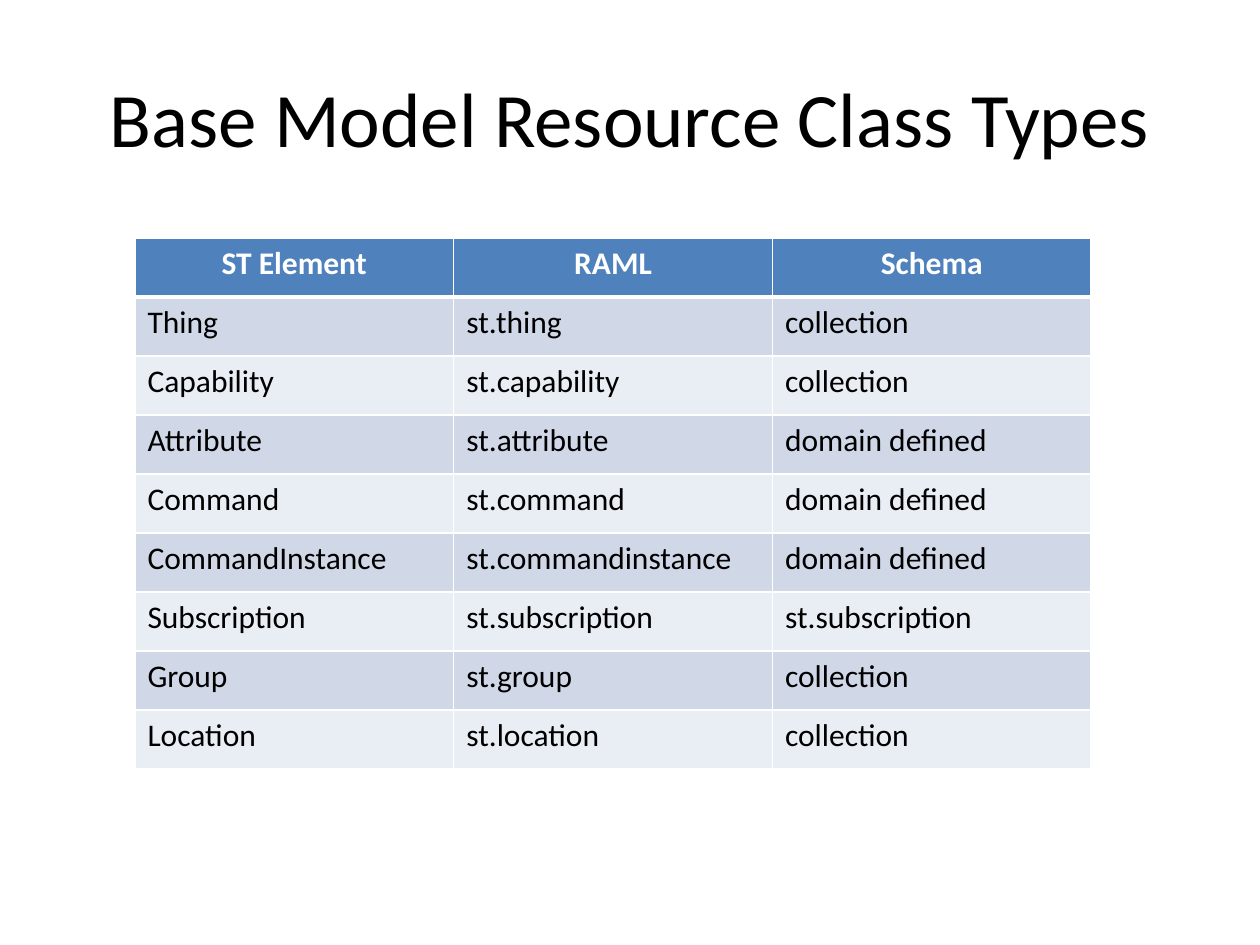
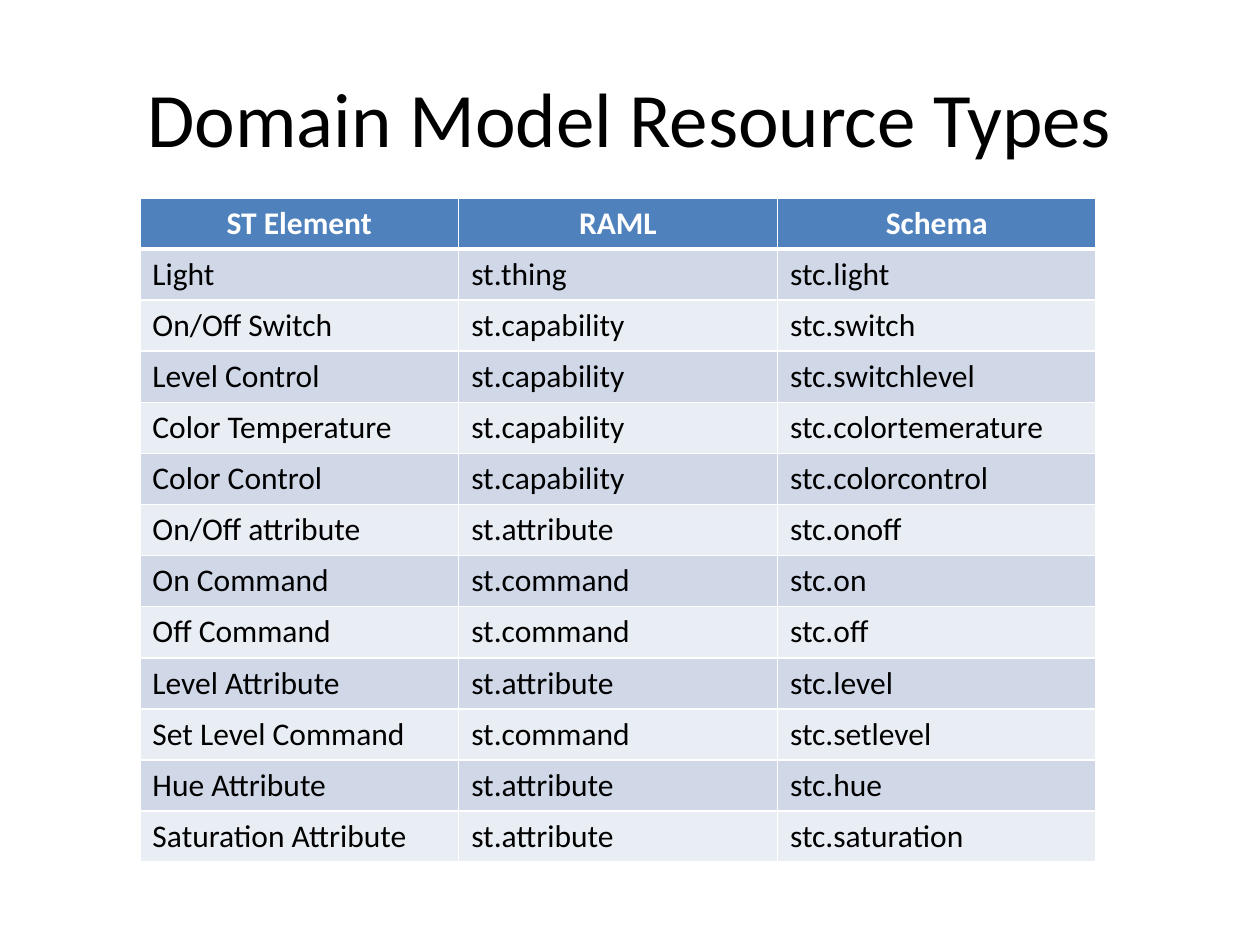
import dataclasses

import lxml.etree
import pptx
import pptx.dml.color
import pptx.enum.text
import pptx.oxml.ns
import pptx.util

Cm = pptx.util.Cm
Pt = pptx.util.Pt
Align = pptx.enum.text.PP_ALIGN
Anchor = pptx.enum.text.MSO_ANCHOR


@dataclasses.dataclass(frozen=True)
class Theme:
    font: str = "Calibri"
    title_size: int = 44
    table_size: int = 18
    text: str = "000000"
    header_text: str = "FFFFFF"
    header_fill: str = "4F81BD"
    bands: tuple = ("D0D8E8", "E9EDF4")
    border: str = "FFFFFF"
    thin_border: int = 1
    header_border: int = 3


class SlideBuilder:
    """Holds the style and the slide being built."""

    def __init__(self, deck, theme):
        self.deck = deck
        self.theme = theme
        self.slide = None

    def add_slide(self, title):
        title_only = self.deck.slide_layouts[5]
        self.slide = self.deck.slides.add_slide(title_only)
        box = self.slide.shapes.title
        box.left, box.top = Cm(1.27), Cm(0.76)
        box.width, box.height = Cm(22.86), Cm(3.18)
        box.text_frame.text = title
        box.text_frame.vertical_anchor = Anchor.MIDDLE
        self.format_text(box.text_frame, self.theme.title_size,
                         self.theme.text, False, Align.CENTER)

    def format_text(self, frame, size, color, bold, align):
        for para in frame.paragraphs:
            para.alignment = align
            for span in para.runs:
                span.font.name = self.theme.font
                span.font.size = Pt(size)
                span.font.bold = bold
                span.font.color.rgb = pptx.dml.color.RGBColor.from_string(color)

    def add_borders(self, cell, top, bottom):
        thin = self.theme.thin_border
        properties = cell._tc.get_or_add_tcPr()
        qn = pptx.oxml.ns.qn
        for side, width in (("L", thin), ("R", thin), ("T", top), ("B", bottom)):
            line = lxml.etree.SubElement(properties, qn("a:ln" + side),
                                         w=str(Pt(width)))
            fill = lxml.etree.SubElement(line, qn("a:solidFill"))
            lxml.etree.SubElement(fill, qn("a:srgbClr"), val=self.theme.border)

    def format_cell(self, cell, row):
        theme = self.theme
        thin, thick = theme.thin_border, theme.header_border
        is_header = row == 0
        # Borders come before the fill in the cell properties
        self.add_borders(cell, thick if row == 1 else thin,
                         thick if is_header else thin)
        fill = theme.header_fill if is_header else theme.bands[(row - 1) % 2]
        cell.fill.solid()
        cell.fill.fore_color.rgb = pptx.dml.color.RGBColor.from_string(fill)
        self.format_text(cell.text_frame, theme.table_size,
                         theme.header_text if is_header else theme.text,
                         is_header, Align.CENTER if is_header else Align.LEFT)

    def add_table(self, left, top, row_height, records):
        rows = [HEADER] + records
        table = self.slide.shapes.add_table(
            len(rows), len(HEADER), Cm(left), Cm(top),
            Cm(TABLE_WIDTH), Cm(row_height * len(rows))).table
        for row, values in enumerate(rows):
            for column, value in enumerate(values):
                cell = table.cell(row, column)
                cell.text_frame.text = value
                self.format_cell(cell, row)


TABLE_WIDTH = 19.28
HEADER = ("ST Element", "RAML", "Schema")

BASE_TYPES = [
    ("Thing", "st.thing", "collection"),
    ("Capability", "st.capability", "collection"),
    ("Attribute", "st.attribute", "domain defined"),
    ("Command", "st.command", "domain defined"),
    ("CommandInstance", "st.commandinstance", "domain defined"),
    ("Subscription", "st.subscription", "st.subscription"),
    ("Group", "st.group", "collection"),
    ("Location", "st.location", "collection"),
]

DOMAIN_TYPES = [
    ("Light", "st.thing", "stc.light"),
    ("On/Off Switch", "st.capability", "stc.switch"),
    ("Level Control", "st.capability", "stc.switchlevel"),
    ("Color Temperature", "st.capability", "stc.colortemerature"),
    ("Color Control", "st.capability", "stc.colorcontrol"),
    ("On/Off attribute", "st.attribute", "stc.onoff"),
    ("On Command", "st.command", "stc.on"),
    ("Off Command", "st.command", "stc.off"),
    ("Level Attribute", "st.attribute", "stc.level"),
    ("Set Level Command", "st.command", "stc.setlevel"),
    ("Hue Attribute", "st.attribute", "stc.hue"),
    ("Saturation Attribute", "st.attribute", "stc.saturation"),
]

deck = pptx.Presentation()
deck.slide_width, deck.slide_height = Cm(25.4), Cm(19.05)
builder = SlideBuilder(deck, Theme())

# Base model
builder.add_slide("Base Model Resource Class Types")
builder.add_table(2.72, 4.8, 1.19, BASE_TYPES)

# Domain model
builder.add_slide("Domain Model Resource Types")
builder.add_table(2.82, 3.99, 1.02, DOMAIN_TYPES)

deck.save("out.pptx")
